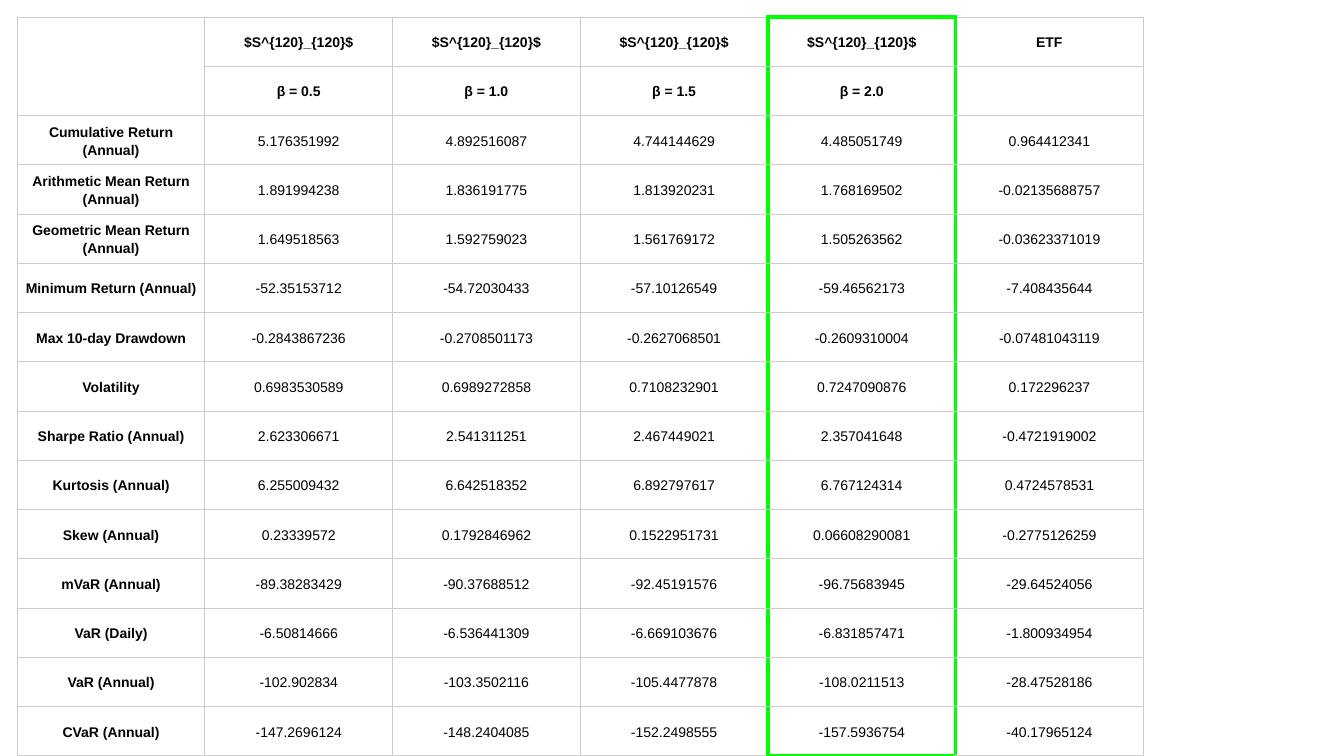
from lxml import etree
from pptx import Presentation
from pptx.dml.color import RGBColor
from pptx.enum.text import MSO_ANCHOR, PP_ALIGN
from pptx.oxml.ns import qn
from pptx.util import Inches, Pt

CENTER = PP_ALIGN.CENTER
MIDDLE = MSO_ANCHOR.MIDDLE
COLORS = {"text": "000000", "grid": "CCCCCC", "highlight": "00FF00"}
FONT = "Arial"
HIGHLIGHT_COLUMN = 4
HEADER_ROWS = 2
SERIES = "$S^{120}_{120}$"

METRICS = [
    ["", SERIES, SERIES, SERIES, SERIES, "ETF"],
    ["", "β = 0.5", "β = 1.0", "β = 1.5", "β = 2.0", ""],
    ["Cumulative Return (Annual)", "5.176351992", "4.892516087", "4.744144629", "4.485051749", "0.964412341"],
    ["Arithmetic Mean Return (Annual)", "1.891994238", "1.836191775", "1.813920231", "1.768169502", "-0.02135688757"],
    ["Geometric Mean Return (Annual)", "1.649518563", "1.592759023", "1.561769172", "1.505263562", "-0.03623371019"],
    ["Minimum Return (Annual)", "-52.35153712", "-54.72030433", "-57.10126549", "-59.46562173", "-7.408435644"],
    ["Max 10-day Drawdown", "-0.2843867236", "-0.2708501173", "-0.2627068501", "-0.2609310004", "-0.07481043119"],
    ["Volatility", "0.6983530589", "0.6989272858", "0.7108232901", "0.7247090876", "0.172296237"],
    ["Sharpe Ratio (Annual)", "2.623306671", "2.541311251", "2.467449021", "2.357041648", "-0.4721919002"],
    ["Kurtosis (Annual)", "6.255009432", "6.642518352", "6.892797617", "6.767124314", "0.4724578531"],
    ["Skew (Annual)", "0.23339572", "0.1792846962", "0.1522951731", "0.06608290081", "-0.2775126259"],
    ["mVaR (Annual)", "-89.38283429", "-90.37688512", "-92.45191576", "-96.75683945", "-29.64524056"],
    ["VaR (Daily)", "-6.50814666", "-6.536441309", "-6.669103676", "-6.831857471", "-1.800934954"],
    ["VaR (Annual)", "-102.902834", "-103.3502116", "-105.4477878", "-108.0211513", "-28.47528186"],
    ["CVaR (Annual)", "-147.2696124", "-148.2404085", "-152.2498555", "-157.5936754", "-40.17965124"],
]


def highlighted_edges(row, column):
    edges = set()
    if column in (HIGHLIGHT_COLUMN, HIGHLIGHT_COLUMN + 1):
        edges.add("lnL")
    if column in (HIGHLIGHT_COLUMN - 1, HIGHLIGHT_COLUMN):
        edges.add("lnR")
    if column == HIGHLIGHT_COLUMN and row == 0:
        edges.add("lnT")
    if column == HIGHLIGHT_COLUMN and row == len(METRICS) - 1:
        edges.add("lnB")
    return edges


def set_borders(cell, highlighted):
    properties = cell._tc.get_or_add_tcPr()
    for edge in ("lnL", "lnR", "lnT", "lnB"):
        color, width = ("highlight", 3) if edge in highlighted else ("grid", 0.75)
        line = etree.SubElement(properties, qn(f"a:{edge}"), w=str(Pt(width)))
        fill = etree.SubElement(line, qn("a:solidFill"))
        etree.SubElement(fill, qn("a:srgbClr"), val=COLORS[color])


def write_cell(cell, text, bold):
    cell.vertical_anchor = MIDDLE
    cell.margin_left = cell.margin_right = Inches(0.03)
    cell.margin_top = cell.margin_bottom = Inches(0.02)
    if not text:
        return
    paragraph = cell.text_frame.paragraphs[0]
    paragraph.alignment = CENTER
    paragraph.line_spacing = 1.15
    run = paragraph.add_run()
    run.text = text
    run.font.name = FONT
    run.font.size = Pt(10)
    run.font.bold = bold
    run.font.color.rgb = RGBColor.from_string(COLORS["text"])


def add_metrics_table(slide):
    metrics = slide.shapes.add_table(
        len(METRICS), len(METRICS[0]),
        Inches(0.17), Inches(0.17), Inches(11.17), Inches(7.33),
    ).table
    metrics.first_row = False
    metrics.horz_banding = False
    for row, values in enumerate(METRICS):
        for column, text in enumerate(values):
            cell = metrics.cell(row, column)
            set_borders(cell, highlighted_edges(row, column))
            cell.fill.background()
            write_cell(cell, text, row < HEADER_ROWS or column == 0)
    metrics.cell(0, 0).merge(metrics.cell(HEADER_ROWS - 1, 0))


def main():
    deck = Presentation()
    deck.slide_width = Inches(13.33)
    deck.slide_height = Inches(7.5)
    slide = deck.slides.add_slide(deck.slide_layouts[6])
    add_metrics_table(slide)
    deck.save("out.pptx")


if __name__ == "__main__":
    main()
